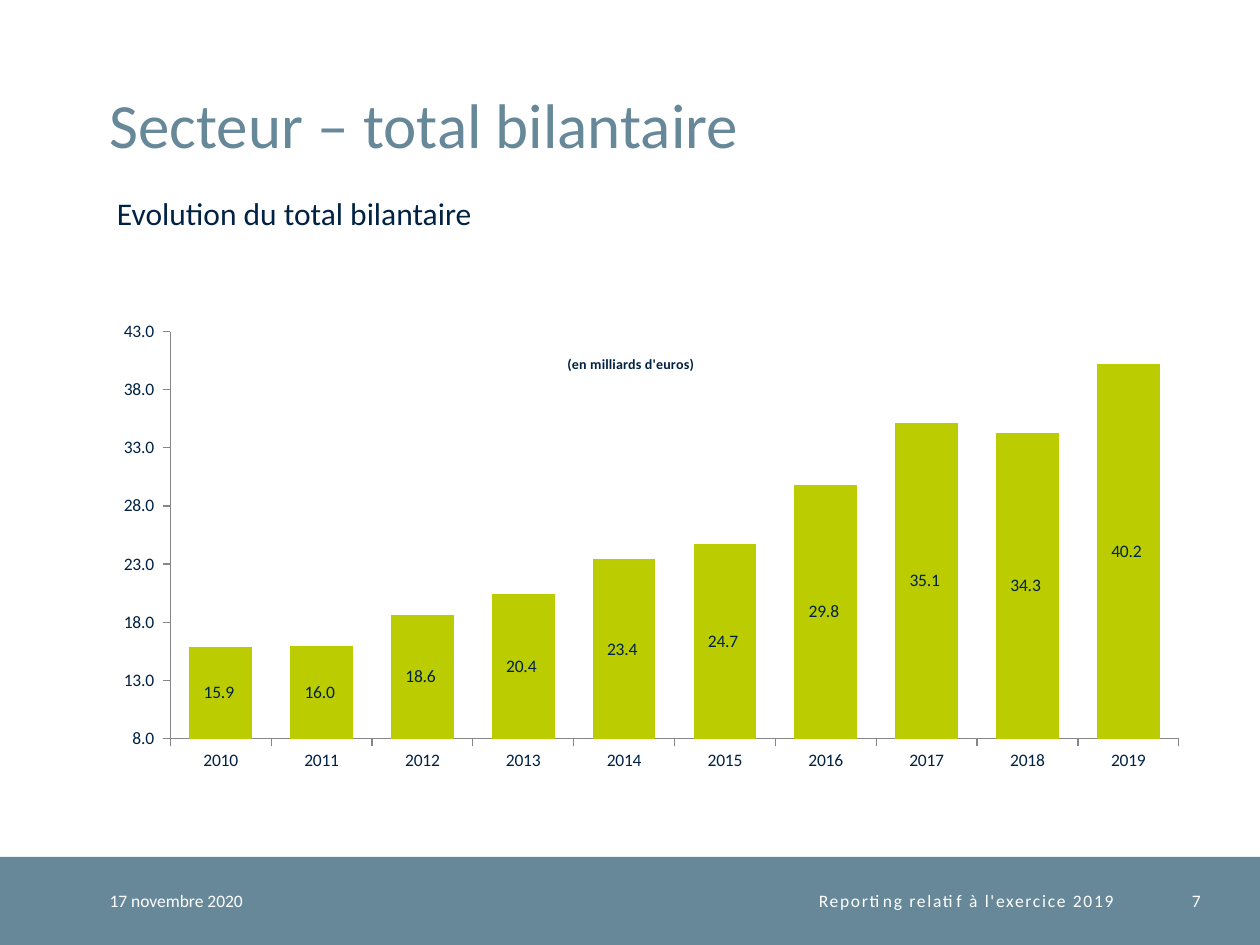
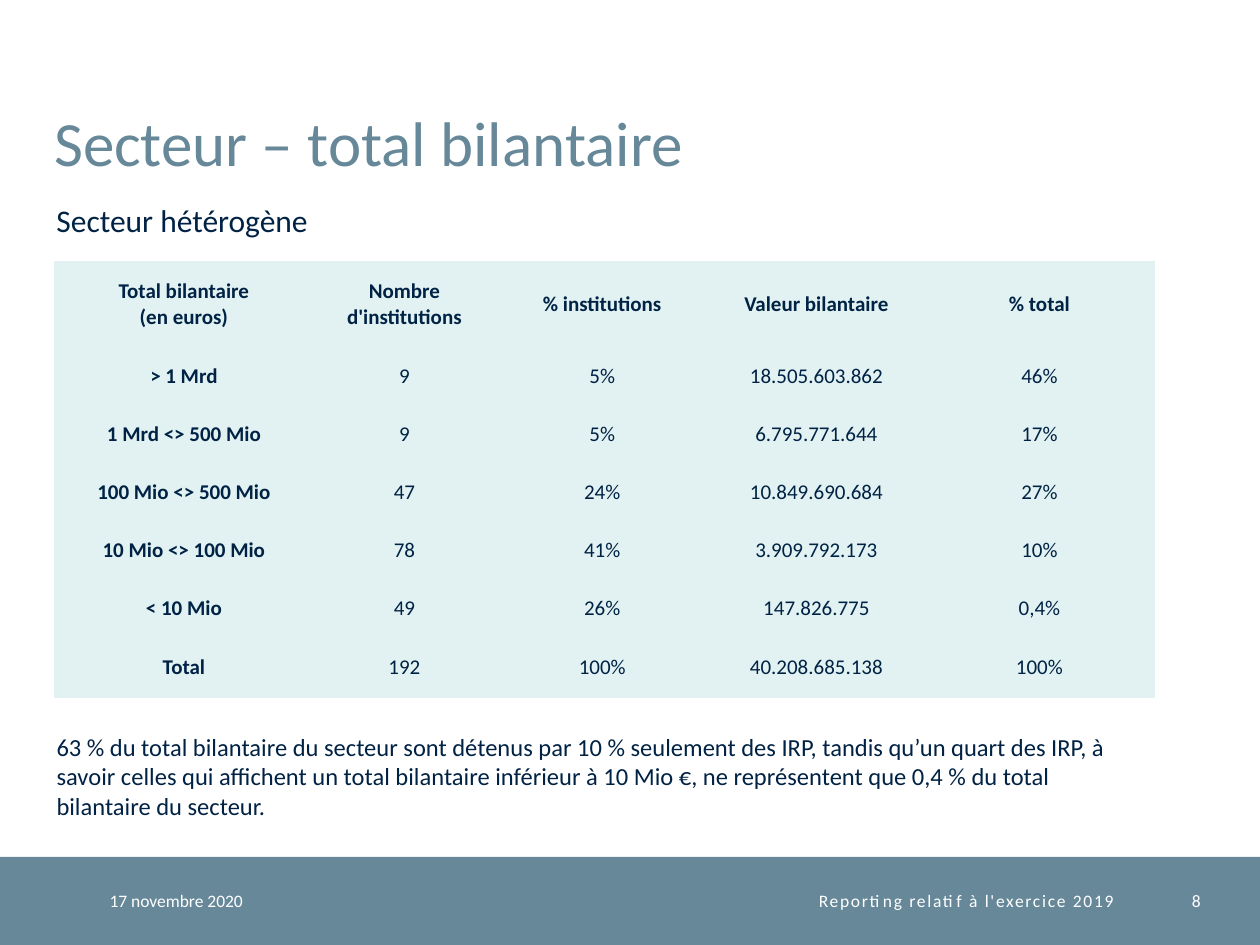
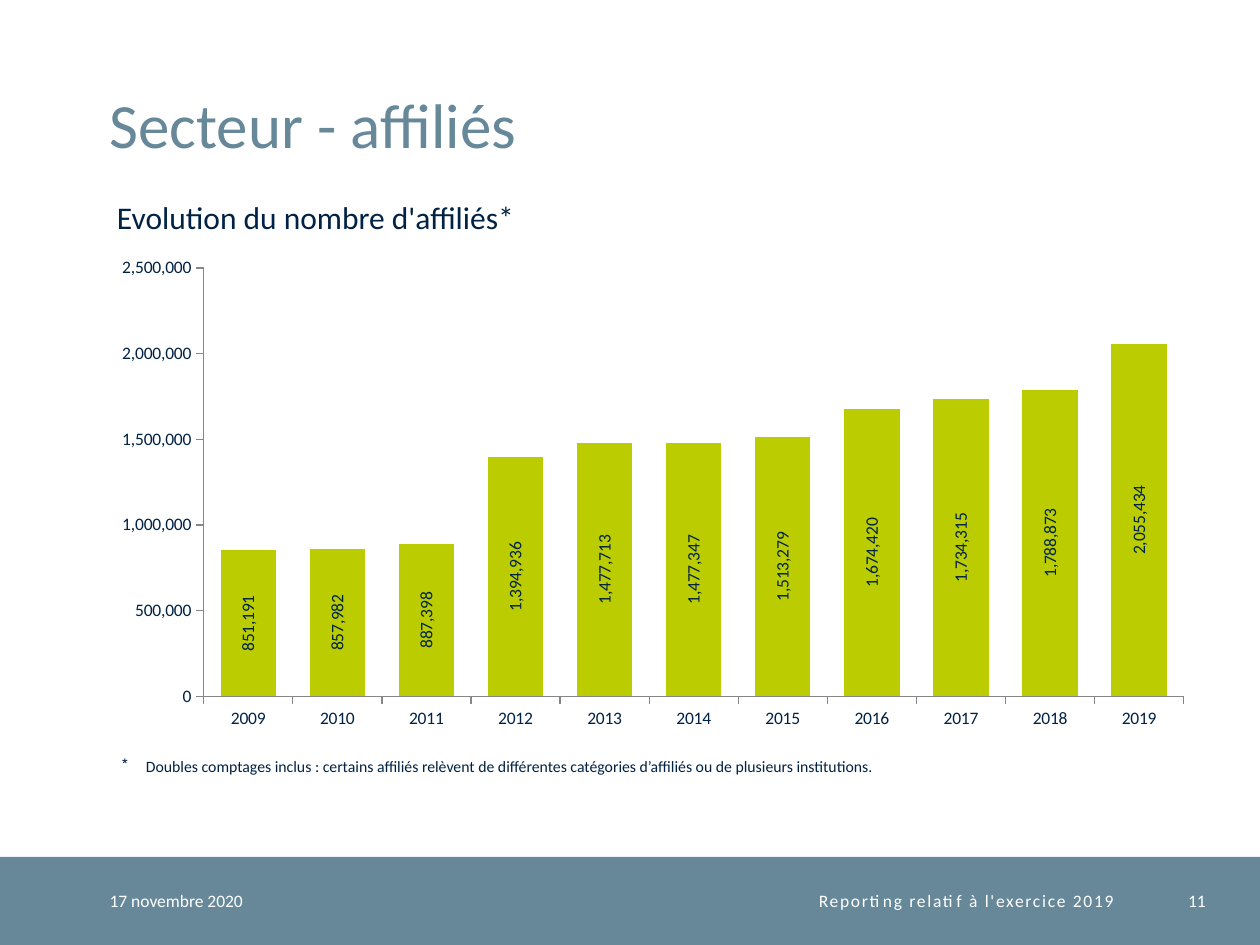
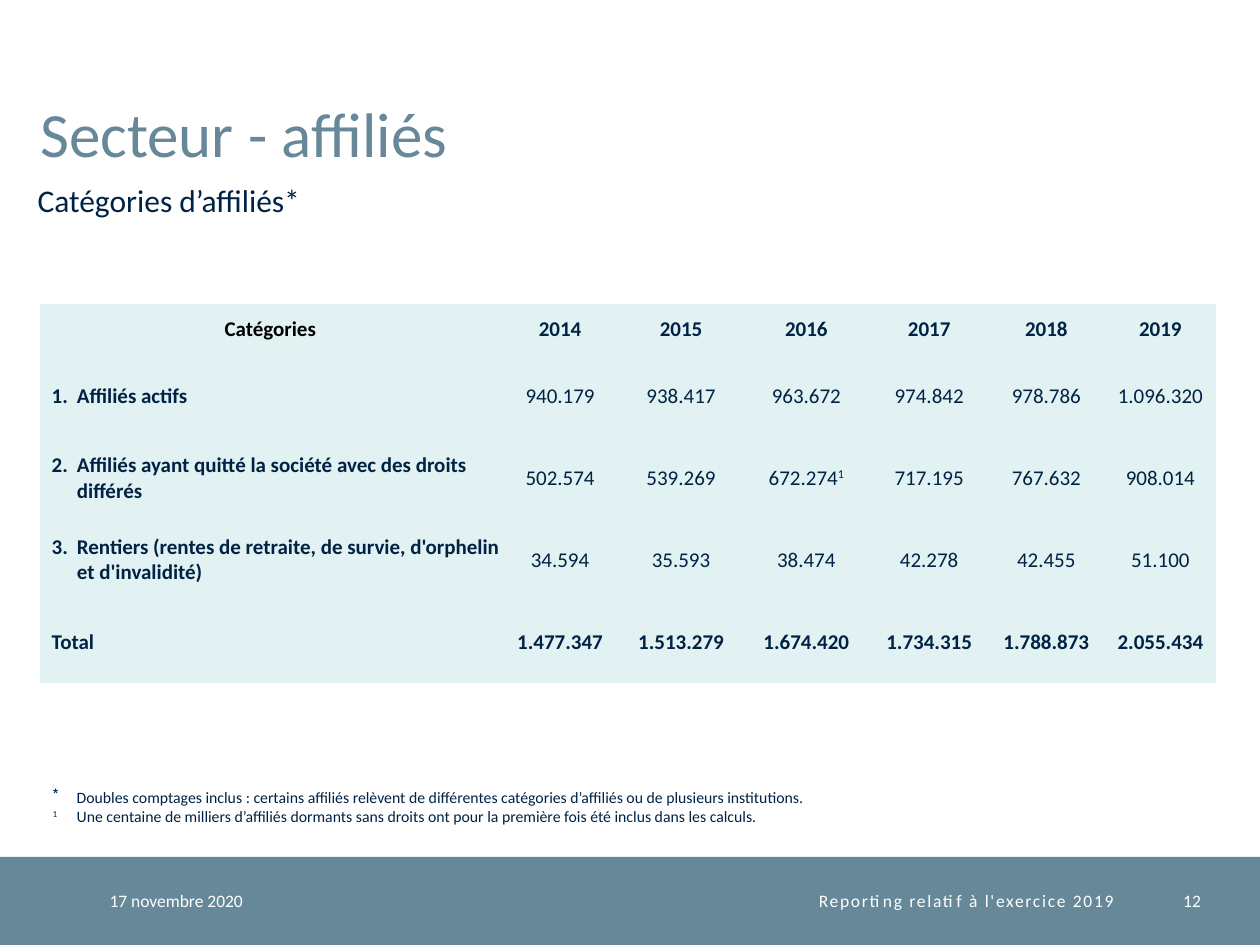
"""Builds four slides on the balance sheet total and the members of the sector."""
from lxml import etree
from pptx import Presentation, util as u
from pptx.chart.data import CategoryChartData
from pptx.dml.color import RGBColor
from pptx.enum import chart as ch, shapes, text
from pptx.oxml.ns import qn

FONT = "Calibri"
SLATE, NAVY, LIME, MINT = "668899", "002244", "BBCC00", "E2F2F2"
WHITE, BLACK, GREY = "FFFFFF", "000000", "868686"
LEFT, CENTER, RIGHT = text.PP_ALIGN.LEFT, text.PP_ALIGN.CENTER, text.PP_ALIGN.RIGHT
NO_GRID_STYLE = "{2D5ABB26-0587-4C30-8999-92F81FD0307C}"
DOUBLE_COUNT = ("Doubles comptages inclus : certains affiliés relèvent de différentes "
                "catégories d’affiliés ou de plusieurs institutions.")


def rgb(value):
    return RGBColor.from_string(value)


def box(*lengths):
    return [u.Inches(length) for length in lengths]


def style_font(font, size, color=NAVY, bold=False):
    font.name, font.size, font.bold = FONT, u.Pt(size), bold
    font.color.rgb = rgb(color)


def write(frame, content, size=12, color=NAVY, bold=False, align=LEFT, spacing=0,
          line=None, indent=None):
    """Fill a frame, one paragraph a line; parts between ^ marks are superscript."""
    for row, words in enumerate(content.split("\n")):
        paragraph = frame.add_paragraph() if row else frame.paragraphs[0]
        paragraph.alignment = align
        if line:
            paragraph.line_spacing = u.Pt(line)
        if indent:
            margin, hanging = indent
            properties = paragraph._p.get_or_add_pPr()
            properties.set("marL", str(u.Inches(margin)))
            properties.set("indent", str(-u.Inches(hanging)))
        for part, piece in enumerate(words.split("^")):
            if not piece:
                continue
            run = paragraph.add_run()
            run.text = piece
            style_font(run.font, size, color, bold)
            properties = run._r.get_or_add_rPr()
            if part % 2:
                properties.set("baseline", "30000")
            if spacing:
                properties.set("spc", str(spacing))


def trim(frame, anchor):
    frame.margin_left = frame.margin_right = frame.margin_top = frame.margin_bottom = 0
    frame.vertical_anchor = anchor
    frame.word_wrap = True
    frame.auto_size = text.MSO_AUTO_SIZE.NONE


def place(part, index, **fractions):
    """Give a chart part a manual layout in fractions of the chart."""
    for old in part.findall(qn("c:layout")):
        part.remove(old)
    layout = etree.Element(qn("c:layout"))
    part.insert(index, layout)
    manual = etree.SubElement(layout, qn("c:manualLayout"))
    modes = {"xMode": "edge", "yMode": "edge"}
    if "w" in fractions:
        modes = {"layoutTarget": "inner", **modes}
    for tag, value in {**modes, **fractions}.items():
        etree.SubElement(manual, qn("c:" + tag)).set("val", str(value))


class Deck:
    """Holds the presentation style and the current slide."""

    def __init__(self):
        self.show = Presentation()
        self.show.slide_width, self.show.slide_height = box(10, 7.5)
        self.layout = self.show.slide_layouts[5]
        self.slide = None

    def band(self):
        band = self.slide.shapes.add_shape(shapes.MSO_SHAPE.RECTANGLE, *box(0, 6.8, 10, 0.7))
        band.shadow.inherit = False
        band.fill.solid()
        band.fill.fore_color.rgb = rgb(SLATE)
        band.line.fill.background()
        self.layout.shapes.element.insert(2, band.element)

    def start(self, heading, left, top, number, **footer):
        first = self.slide is None
        self.slide = self.show.slides.add_slide(self.layout)
        if first:
            self.band()
        title = self.slide.shapes.title
        title.left, title.top, title.width, title.height = box(left, top, 8.63, 1.08)
        trim(title.text_frame, text.MSO_ANCHOR.BOTTOM)
        write(title.text_frame, heading, size=36, color=SLATE, line=32)
        self.footer(number, **footer)

    def footer(self, number, date=(0.87, 1.77), report=(2.64, 6.2), page=(9.04, 0.49)):
        for (left, width), words, align, spacing in (
                (date, "17 novembre 2020", LEFT, 0),
                (report, "Reporting relatif à l'exercice 2019", RIGHT, 100),
                (page, str(number), RIGHT, 0)):
            frame = self.slide.shapes.add_textbox(*box(left, 6.8, width, 0.7)).text_frame
            trim(frame, text.MSO_ANCHOR.MIDDLE)
            write(frame, words, size=10, color=WHITE, align=align, spacing=spacing)

    def text(self, content, left, top, width, height, **style):
        frame = self.slide.shapes.add_textbox(*box(left, top, width, height)).text_frame
        frame.word_wrap = True
        frame.auto_size = text.MSO_AUTO_SIZE.SHAPE_TO_FIT_TEXT
        write(frame, content, **style)
        return frame

    def subtitle(self, content, left, top, width):
        self.text(content, left, top, width, 0.4, size=18)

    def footnotes(self, content, left, top, width, height):
        frame = self.text(content, left, top, width, height, size=9, indent=(0.19, 0.19))
        properties = frame.paragraphs[0]._p.get_or_add_pPr()
        etree.SubElement(properties, qn("a:buChar")).set("char", "*")

    def table(self, rows, left, top, widths, heights, corner=NAVY, bold_total=False,
              indent=None):
        size = box(left, top, sum(widths), sum(heights))
        table = self.slide.shapes.add_table(len(rows), len(widths), *size).table
        table.first_row = table.horz_banding = False
        table._tbl.tblPr.find(qn("a:tableStyleId")).text = NO_GRID_STYLE
        for column, width in zip(table.columns, widths):
            column.width = u.Inches(width)
        for r, (row, height) in enumerate(zip(rows, heights)):
            table.rows[r].height = u.Inches(height)
            for c, words in enumerate(row):
                cell = table.cell(r, c)
                cell.fill.solid()
                cell.fill.fore_color.rgb = rgb(MINT)
                cell.margin_left = cell.margin_right = 0
                cell.margin_top = cell.margin_bottom = 0
                cell.vertical_anchor = text.MSO_ANCHOR.MIDDLE
                hanging = indent if r and not c else None
                write(cell.text_frame, words, indent=hanging,
                      color=NAVY if r or c else corner,
                      align=LEFT if hanging else CENTER,
                      bold=not r or not c or (bold_total and r == len(rows) - 1))

    def columns(self, first_year, values, at, plot, scale, number_format,
                unit=None, upright=False):
        data = CategoryChartData()
        data.categories = [str(first_year + i) for i in range(len(values))]
        data.add_series("Series 1", values)
        chart = self.slide.shapes.add_chart(
            ch.XL_CHART_TYPE.COLUMN_STACKED, *box(*at), data).chart
        style_font(chart.font, 10)
        chart.has_legend = False
        chart.has_title = unit is not None
        if unit:
            title = chart.chart_title
            title.text_frame.text = unit
            style_font(title.text_frame.paragraphs[0].runs[0].font, 8, bold=True)
            place(title._element, 1, x=0.42, y=0.17)
        place(chart._chartSpace.find(".//" + qn("c:plotArea")), 0,
              **dict(zip("xywh", plot)))

        for axis in (chart.category_axis, chart.value_axis):
            axis.has_major_gridlines = False
            axis.major_tick_mark = ch.XL_TICK_MARK.OUTSIDE
            axis.minor_tick_mark = ch.XL_TICK_MARK.NONE
            axis.format.line.color.rgb = rgb(GREY)
            axis.format.line.width = u.Pt(0.75)
        amounts = chart.value_axis
        amounts.minimum_scale, amounts.maximum_scale, amounts.major_unit = scale

        bars = chart.plots[0]
        bars.gap_width, bars.overlap, bars.vary_by_categories = 61, 100, False
        fill = bars.series[0].format.fill
        fill.solid()
        fill.fore_color.rgb = rgb(LIME)
        bars.has_data_labels = True
        labels = bars.data_labels
        labels.show_value = True
        labels.position = ch.XL_LABEL_POSITION.CENTER
        style_font(labels.font, 10)
        if upright:
            body = labels._element.find(".//" + qn("a:bodyPr"))
            body.set("rot", "-5400000")
            body.set("vert", "horz")
        for numbers in (amounts.tick_labels, labels):
            numbers.number_format = number_format
            numbers.number_format_is_linked = False


def main():
    deck = Deck()

    deck.start("Secteur – total bilantaire", 0.87, 0.2, 7)
    deck.subtitle("Evolution du total bilantaire", 0.83, 1.49, 4.25)
    deck.columns(2010, [15.9, 16.0, 18.6, 20.4, 23.4, 24.7, 29.8, 35.1, 34.3, 40.2],
                 at=(0.83, 2.1, 8.7, 4.09), plot=(0.06, 0.13, 0.92, 0.79),
                 scale=(8, 43, 5), number_format=r"#,##0.0_ ;[Red]\-#,##0.0\ ",
                 unit="(en milliards d'euros)")

    deck.start("Secteur – total bilantaire", 0.43, 0.34, 8)
    deck.subtitle("Secteur hétérogène", 0.35, 1.55, 3.23)
    deck.table([
        ("Total bilantaire\n(en euros)", "Nombre d'institutions", "% institutions",
         "Valeur bilantaire", "% total"),
        ("> 1 Mrd", "9", "5%", "18.505.603.862", "46%"),
        ("1 Mrd <> 500 Mio", "9", "5%", "6.795.771.644", "17%"),
        ("100 Mio <> 500 Mio", "47", "24%", "10.849.690.684", "27%"),
        ("10 Mio <> 100 Mio", "78", "41%", "3.909.792.173", "10%"),
        ("< 10 Mio", "49", "26%", "147.826.775", "0,4%"),
        ("Total", "192", "100%", "40.208.685.138", "100%"),
    ], 0.43, 2.07, [2.06, 1.44, 1.7, 1.7, 1.84], [0.69] + [0.46] * 5 + [0.48])
    deck.text("63 % du total bilantaire du secteur sont détenus par 10 % seulement des IRP, "
              "tandis qu’un quart des IRP, à savoir celles qui affichent un total bilantaire "
              "inférieur à 10 Mio €, ne représentent que 0,4 % du total bilantaire du secteur.",
              0.35, 5.76, 8.82, 0.81, size=14)

    deck.start("Secteur - affiliés", 0.87, 0.2, 11,
               date=(0.87, 1.38), report=(3.43, 5.41), page=(0.87, 8.7))
    deck.subtitle("Evolution du nombre d'affiliés*", 0.83, 1.52, 8.98)
    deck.footnotes(DOUBLE_COUNT, 0.87, 5.96, 9.1, 0.25)
    deck.columns(2009, [851191, 857982, 887398, 1394936, 1477713, 1477347, 1513279,
                        1674420, 1734315, 1788873, 2055434],
                 at=(0.83, 1.97, 8.74, 3.91), plot=(0.09, 0.04, 0.89, 0.87),
                 scale=(0, 2500000, 500000), number_format="#,##0", upright=True)

    deck.start("Secteur - affiliés", 0.32, 0.27, 12)
    deck.subtitle("Catégories d’affiliés*", 0.2, 1.39, 3.7)
    deck.table([
        ("Catégories", "2014", "2015", "2016", "2017", "2018", "2019"),
        ("1.\tAffiliés actifs",
         "940.179", "938.417", "963.672", "974.842", "978.786", "1.096.320"),
        ("2.\tAffiliés ayant quitté la société avec des droits différés",
         "502.574", "539.269", "672.274^1^", "717.195", "767.632", "908.014"),
        ("3.\tRentiers (rentes de retraite, de survie, d'orphelin et d'invalidité)",
         "34.594", "35.593", "38.474", "42.278", "42.455", "51.100"),
        ("Total", "1.477.347", "1.513.279", "1.674.420", "1.734.315", "1.788.873",
         "2.055.434"),
    ], 0.32, 2.41, [3.65, 0.95, 0.97, 1.02, 0.93, 0.93, 0.88], [0.41] + [0.65] * 4,
        corner=BLACK, bold_total=True, indent=(0.29, 0.2))
    deck.footnotes(DOUBLE_COUNT + "\n^1^\tUne centaine de milliers d’affiliés dormants sans "
                   "droits ont pour la première fois été inclus dans les calculs.",
                   0.32, 6.2, 9.21, 0.4)

    deck.show.save("out.pptx")


if __name__ == "__main__":
    main()
